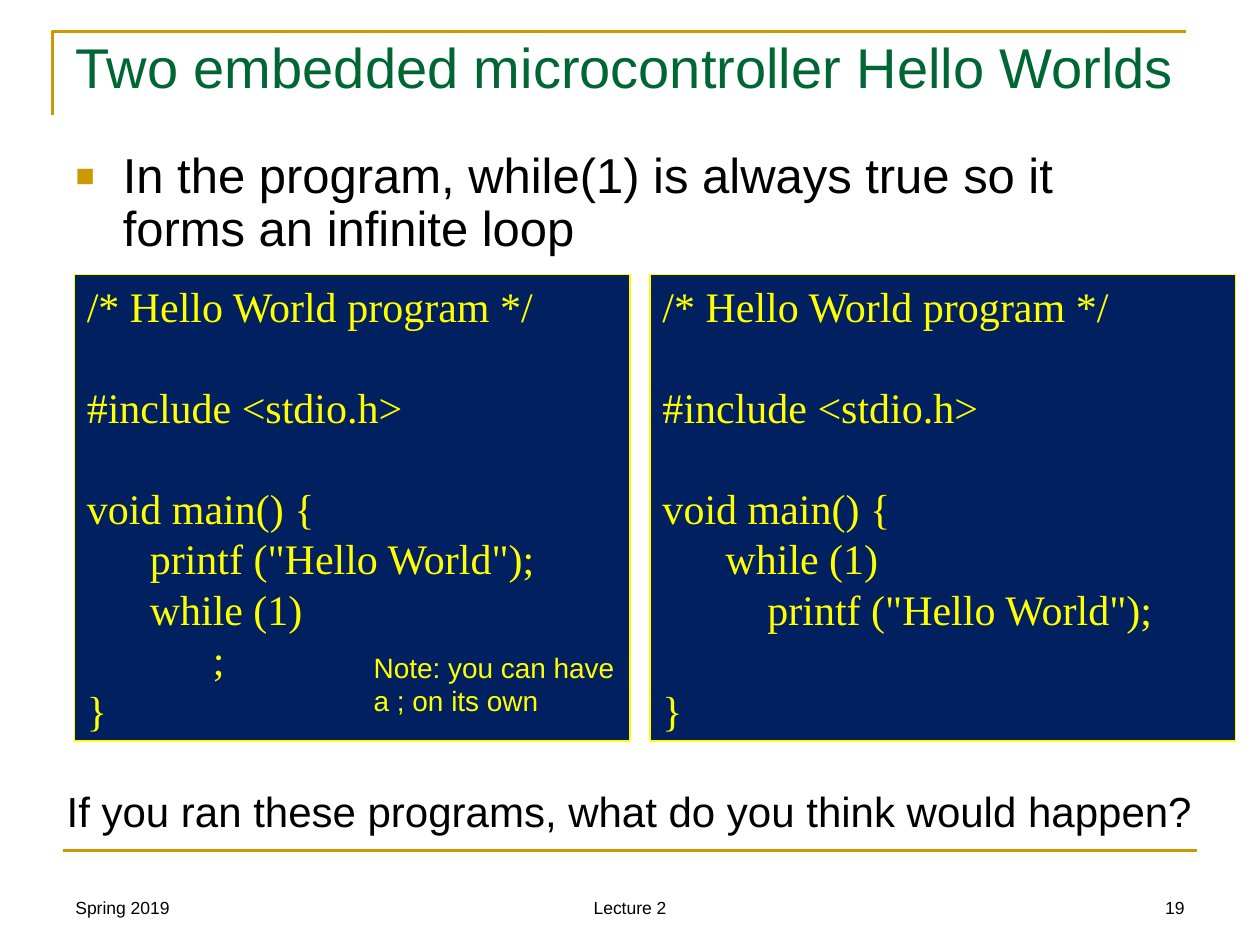
from dataclasses import dataclass

from lxml.etree import SubElement
from pptx import Presentation
from pptx.dml.color import RGBColor
from pptx.enum.shapes import MSO_CONNECTOR, MSO_SHAPE
from pptx.enum.text import MSO_ANCHOR, MSO_AUTO_SIZE, PP_ALIGN
from pptx.oxml.ns import qn
from pptx.util import Pt

BLACK = RGBColor(0x00, 0x00, 0x00)
GREEN = RGBColor(0x00, 0x66, 0x33)
GOLD = RGBColor(0xCC, 0x99, 0x00)
NAVY = RGBColor(0x00, 0x20, 0x60)
YELLOW = RGBColor(0xFF, 0xFF, 0x00)


@dataclass
class Box:
    left: float
    top: float
    width: float
    height: float

    def lengths(self) -> tuple:
        return Pt(self.left), Pt(self.top), Pt(self.width), Pt(self.height)


@dataclass
class Style:
    size: float
    color: RGBColor = BLACK
    font: str = "Arial"
    align: PP_ALIGN = PP_ALIGN.LEFT
    anchor: MSO_ANCHOR = MSO_ANCHOR.TOP


@dataclass
class Label:
    text: str
    box: Box
    style: Style


@dataclass
class CodePanel:
    box: Box
    code: str


CODE_STYLE = Style(24, YELLOW, "Times New Roman")

PANELS = [
    CodePanel(Box(42.5, 157, 317.5, 266.4), """/* Hello World program */

#include <stdio.h>

void main() {
\tprintf ("Hello World");
\twhile (1)
\t\t;
}"""),
    CodePanel(Box(371.5, 157, 334.5, 266.4), """/* Hello World program */

#include <stdio.h>

void main() {
\twhile (1)
\t    printf ("Hello World");

}"""),
]

LABELS = [
    Label("Spring 2019", Box(36, 492, 168, 36),
          Style(10, anchor=MSO_ANCHOR.BOTTOM)),
    Label("Lecture 2", Box(246, 492, 228, 36),
          Style(10, align=PP_ALIGN.CENTER, anchor=MSO_ANCHOR.BOTTOM)),
    Label("19", Box(516, 492, 168, 36),
          Style(10, align=PP_ALIGN.RIGHT, anchor=MSO_ANCHOR.BOTTOM)),
    Label("If you ran these programs, what do you think would happen?",
          Box(31, 445.5, 663, 36), Style(24)),
    Label("Note: you can have a ; on its own",
          Box(206.5, 368, 164, 46), Style(16, YELLOW)),
]


def write(shape, text: str, style: Style) -> None:
    """Fill a shape with text, one paragraph for each line."""
    frame = shape.text_frame
    frame.word_wrap = True
    frame.auto_size = MSO_AUTO_SIZE.NONE
    frame.vertical_anchor = style.anchor
    for index, line in enumerate(text.split("\n")):
        paragraph = frame.add_paragraph() if index else frame.paragraphs[0]
        paragraph.alignment = style.align
        paragraph.space_before = Pt(0)
        paragraph.font.size = Pt(style.size)
        paragraph.font.name = style.font
        if line:
            run = paragraph.add_run()
            run.text = line
            run.font.size = Pt(style.size)
            run.font.name = style.font
            run.font.color.rgb = style.color


def place(shape, box: Box) -> None:
    shape.left, shape.top, shape.width, shape.height = box.lengths()


def add_bullet(paragraph, character: str, color: RGBColor, percent: int) -> None:
    properties = paragraph._p.get_or_add_pPr()
    properties.set("marL", str(Pt(27)))
    properties.set("indent", str(-Pt(27)))
    bullet_color = SubElement(properties, qn("a:buClr"))
    SubElement(bullet_color, qn("a:srgbClr"), val=str(color))
    SubElement(properties, qn("a:buSzPct"), val=str(percent * 1000))
    SubElement(properties, qn("a:buFont"), typeface="Arial")
    SubElement(properties, qn("a:buChar"), char=character)


def add_frame_lines(slide) -> None:
    """Draw the corner around the title and the rule above the footer."""
    builder = slide.shapes.build_freeform(Pt(30), Pt(66))
    builder.add_line_segments([(Pt(30), Pt(18)), (Pt(678), Pt(18))], close=False)
    corner = builder.convert_to_shape()
    corner.shadow.inherit = False
    corner.fill.background()
    rule = slide.shapes.add_connector(
        MSO_CONNECTOR.STRAIGHT, Pt(36), Pt(486), Pt(684), Pt(486))
    SubElement(rule._element.spPr, qn("a:effectLst"))
    for shape in (corner, rule):
        shape.line.color.rgb = GOLD
        shape.line.width = Pt(1.5)


def add_code_panel(slide, panel: CodePanel) -> None:
    shape = slide.shapes.add_shape(MSO_SHAPE.RECTANGLE, *panel.box.lengths())
    shape.shadow.inherit = False
    shape.fill.solid()
    shape.fill.fore_color.rgb = NAVY
    shape.line.color.rgb = YELLOW
    shape.line.width = Pt(0.75)
    write(shape, panel.code, CODE_STYLE)


def add_label(slide, label: Label) -> None:
    shape = slide.shapes.add_textbox(*label.box.lengths())
    write(shape, label.text, label.style)


def main() -> None:
    presentation = Presentation()
    presentation.slide_width, presentation.slide_height = Pt(720), Pt(540)
    slide = presentation.slides.add_slide(presentation.slide_layouts[1])
    add_frame_lines(slide)

    # Title
    title = slide.shapes.title
    place(title, Box(36, 15, 648, 51))
    write(title, "Two embedded microcontroller Hello Worlds", Style(32, GREEN))

    # Bulleted statement
    body = slide.placeholders[1]
    place(body, Box(36, 83, 648, 67.5))
    paragraph = body.text_frame.paragraphs[0]
    add_bullet(paragraph, "■", GOLD, 65)
    write(body, "In the program, while(1) is always true so it "
                "forms an infinite loop", Style(28))
    paragraph.line_spacing = 0.9

    # Code panels, then the text around and over them
    for panel in PANELS:
        add_code_panel(slide, panel)
    for label in LABELS:
        add_label(slide, label)

    presentation.save("out.pptx")


if __name__ == "__main__":
    main()
